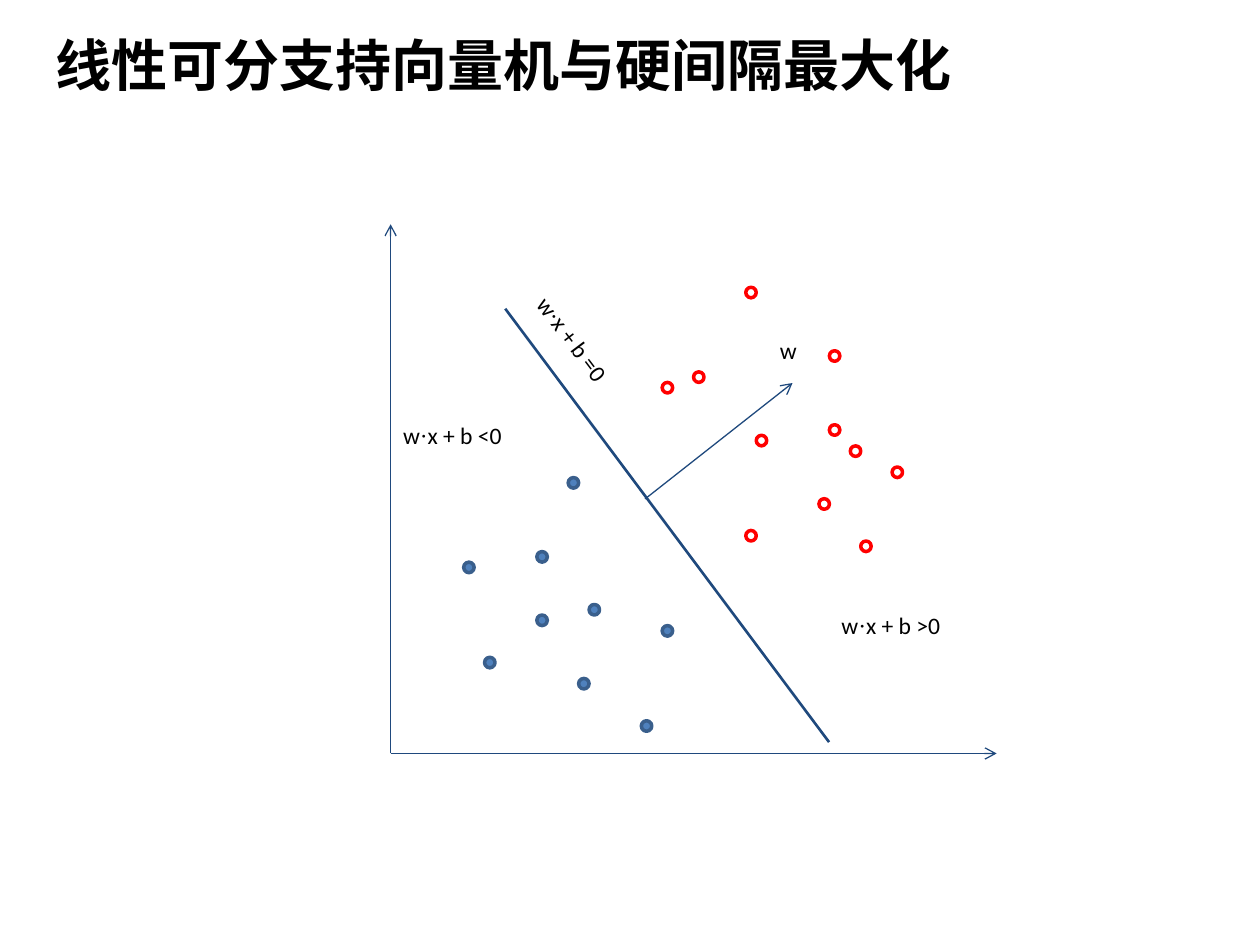
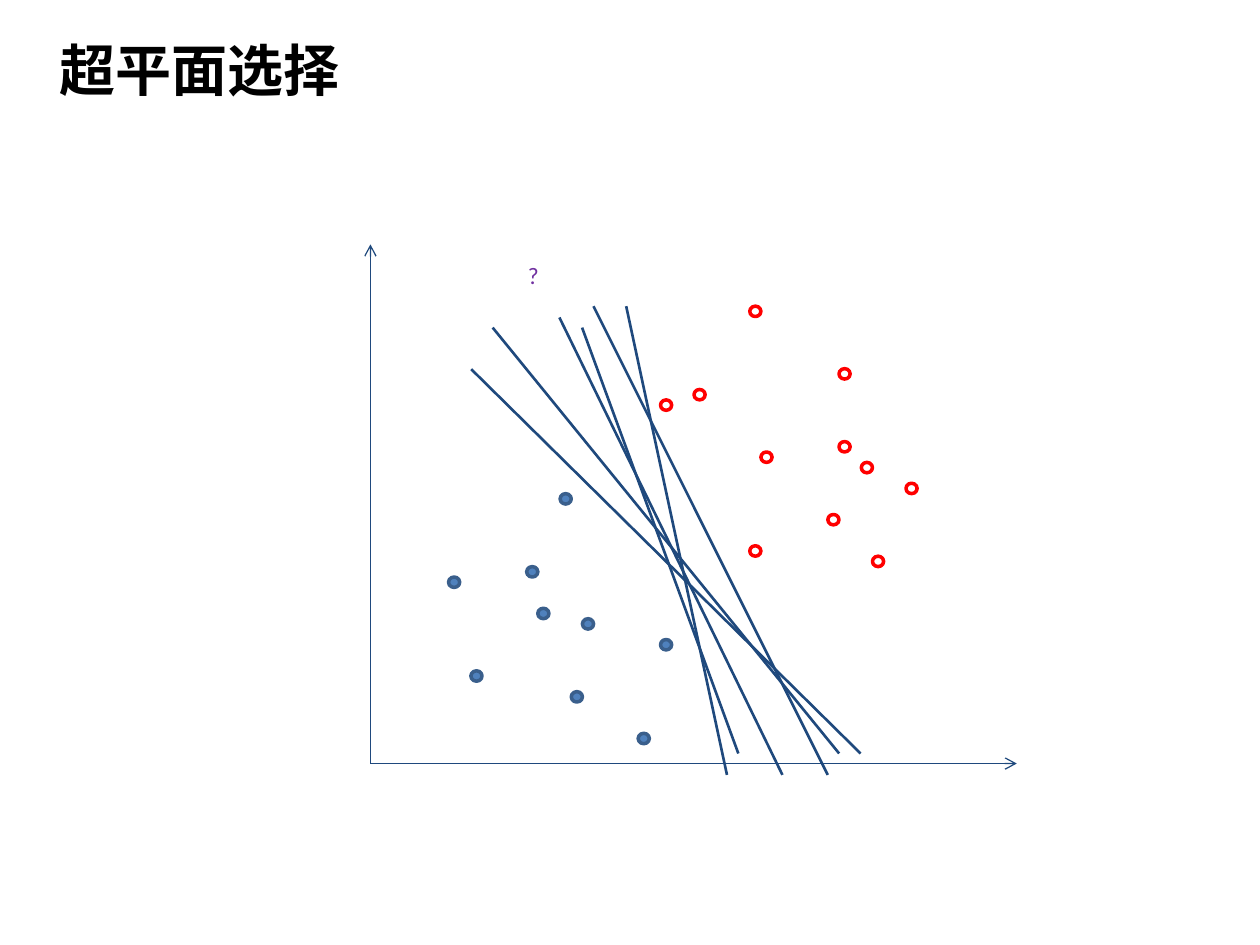
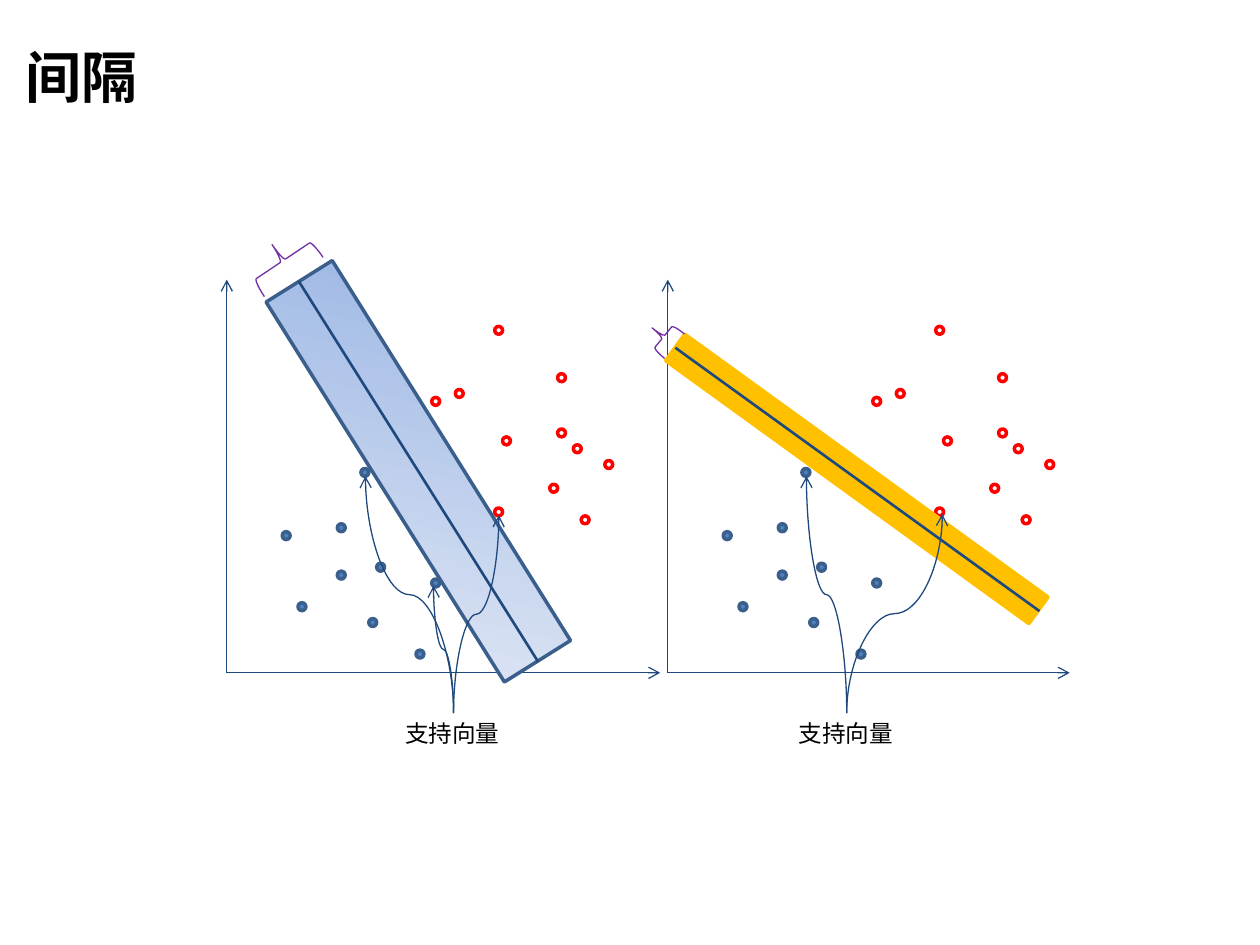
"""Build three slides on the hard-margin support vector machine."""
from lxml.etree import SubElement
from pptx import Presentation
from pptx.dml.color import RGBColor
from pptx.enum.shapes import MSO_CONNECTOR, MSO_SHAPE
from pptx.enum.text import MSO_ANCHOR, MSO_AUTO_SIZE, PP_ALIGN
from pptx.oxml.ns import qn
from pptx.util import Inches, Pt

NAVY, BLUE, EDGE, RED = "1F497D", "4F81BD", "3A5F8C", "FF0000"
GOLD, PURPLE, BLACK = "FFC000", "7030A0", "000000"
GRADIENT = ("9AB5E4", "E1E8F5")
FONT, DOT_FONT = "Calibri", "Times New Roman"

GRID = 41
NEGATIVE = [(0, 26), (7, 25), (19, 32), (12, 30), (11, 37), (10, 18), (17, 41), (2, 35)]
POSITIVE = [(22, 8), (35, 13), (27, 0), (28, 14), (27, 23), (19, 9), (34, 20),
            (35, 6), (38, 24), (41, 17), (37, 15)]


def rgb(color):
    """Turn a hex string into a colour."""
    return RGBColor.from_string(color)


def write(p, text, size=13.5, color=BLACK, bold=False):
    """Write text in a paragraph, with the product dot in its own font."""
    for part in filter(None, text.partition("·")):
        r = p.add_run()
        r.text = part
        r.font.name = DOT_FONT if part == "·" else FONT
        r.font.size = Pt(size)
        r.font.bold = bold
        r.font.color.rgb = rgb(color)


def add_slide(prs, title, left, top, indent=0.0):
    """Add a title-only slide with its formatted title."""
    s = prs.slides.add_slide(prs.slide_layouts[5])
    sp = s.shapes.title
    sp.left, sp.top, sp.width, sp.height = map(Inches, (left, top, 8.62, 1.09))
    tf = sp.text_frame
    tf.word_wrap = True
    tf.auto_size = MSO_AUTO_SIZE.NONE
    tf.vertical_anchor = MSO_ANCHOR.MIDDLE
    tf.margin_left = tf.margin_right = Inches(0.07)
    tf.margin_top = tf.margin_bottom = Inches(0.04)
    p = tf.paragraphs[0]
    p.alignment = PP_ALIGN.LEFT
    p.line_spacing = 0.9
    pPr = p._p.get_or_add_pPr()
    pPr.set("marL", str(Inches(indent)))
    pPr.set("indent", "0")
    write(p, title, size=32, bold=True)
    return s


def add_label(s, text, left, top, width, height, rotation=0, **fmt):
    """Add a one-line label that fits its text."""
    sp = s.shapes.add_textbox(*map(Inches, (left, top, width, height)))
    sp.rotation = rotation
    tf = sp.text_frame
    tf.word_wrap = False
    tf.auto_size = MSO_AUTO_SIZE.SHAPE_TO_FIT_TEXT
    write(tf.paragraphs[0], text, **fmt)


def add_figure(s, kind, left, top, width, height, line, fill=None, weight=2, rotation=0):
    """Add an outlined shape with no fill, a solid fill or a gradient pair."""
    sp = s.shapes.add_shape(kind, *map(Inches, (left, top, width, height)))
    sp.shadow.inherit = False
    sp.rotation = rotation
    sp.line.color.rgb = rgb(line)
    sp.line.width = Pt(weight)
    if fill is None:
        sp.fill.background()
    elif isinstance(fill, str):
        sp.fill.solid()
        sp.fill.fore_color.rgb = rgb(fill)
    else:
        sp.fill.gradient()
        sp.fill.gradient_angle = 135
        for stop, color in zip(sp.fill.gradient_stops, fill):
            stop.color.rgb = rgb(color)


def add_line(s, x1, y1, x2, y2, weight=1.5, arrow=False, kind=MSO_CONNECTOR.STRAIGHT):
    """Add a navy connector, with an arrowhead at its end if asked."""
    cxn = s.shapes.add_connector(kind, *map(Inches, (x1, y1, x2, y2)))
    cxn.line.color.rgb = rgb(NAVY)
    cxn.line.width = Pt(weight)
    if arrow:
        SubElement(cxn.line._get_or_add_ln(), qn("a:tailEnd"), type="arrow")
    SubElement(cxn._element.spPr, qn("a:effectLst"))
    return cxn


def add_arrow(s, x1, y1, x2, y2):
    """Add a thin straight arrow."""
    add_line(s, x1, y1, x2, y2, weight=0.75, arrow=True)


def add_curve(s, x1, y1, x2, y2):
    """Add a curved arrow that leaves and arrives vertically, going up."""
    cx, cy = (x1 + x2) / 2, (y1 + y2) / 2
    half_rise, half_run = (y1 - y2) / 2, (x2 - x1) / 2
    cxn = add_line(s, cx - half_rise, cy - half_run, cx + half_rise, cy + half_run,
                   weight=0.75, arrow=True, kind=MSO_CONNECTOR.CURVE)
    cxn._element.spPr.xfrm.set("rot", str(270 * 60000))


def add_axes(s, x, y, right, top):
    """Add the two axes from their origin."""
    add_arrow(s, x, y, right, y)
    add_arrow(s, x, y, x, top)


def add_points(s, left, top, width, height, extra=(7, 31)):
    """Add both classes of points on a square grid stretched to the area."""
    dx, dy = width / GRID, height / GRID
    for points, line, fill in ((NEGATIVE + [extra], EDGE, BLUE), (POSITIVE, RED, None)):
        for col, row in points:
            add_figure(s, MSO_SHAPE.OVAL, left + col * dx, top + row * dy, dx, dy, line, fill)


def build_hyperplane(prs):
    """Show the separating hyperplane and its normal."""
    s = add_slide(prs, "线性可分支持向量机与硬间隔最大化", 0.03, 0, indent=0.34)
    add_axes(s, 3.1, 5.98, 7.91, 1.78)
    add_points(s, 3.68, 2.28, 3.4, 3.44)
    add_line(s, 4.01, 2.45, 6.58, 5.89)
    add_label(s, "w·x + b >0", 6.58, 4.8, 1.31, 0.44)
    add_label(s, "w·x + b <0", 3.1, 3.29, 1.31, 0.44)
    add_label(s, "w·x + b =0", 3.94, 2.64, 1.32, 0.44, rotation=53)
    add_arrow(s, 5.12, 3.96, 6.29, 3.04)
    add_label(s, "w", 6.09, 2.62, 0.45, 0.44)


def build_candidates(prs):
    """Show several hyperplanes that separate the classes."""
    s = add_slide(prs, "超平面选择", 0.06, 0.04, indent=0.34)
    add_axes(s, 2.94, 6.06, 8.07, 1.94)
    add_points(s, 3.56, 2.43, 3.63, 3.39, extra=(8, 29))
    for ends in ((3.91, 2.6, 6.66, 5.98), (4.44, 2.52, 6.21, 6.15), (3.74, 2.93, 6.83, 5.98),
                 (4.71, 2.43, 6.57, 6.15), (4.62, 2.6, 5.86, 5.98), (4.97, 2.43, 5.77, 6.15)):
        add_line(s, *ends)
    add_label(s, "?", 4.09, 2.02, 0.41, 0.43, color=PURPLE)


def build_margins(prs):
    """Compare a wide and a narrow margin with their support vectors."""
    s = add_slide(prs, "间隔", 0.13, 0.09)
    for x, right in ((1.8, 5.24), (5.3, 8.49)):
        add_axes(s, x, 5.34, right, 2.22)
        add_points(s, x + 0.44, 2.59, 2.56, 2.57)
    add_figure(s, MSO_SHAPE.RECTANGLE, 1.54, 3.43, 3.56, 0.62, EDGE, GRADIENT, rotation=237.9)
    add_line(s, 2.37, 2.23, 4.27, 5.25)
    add_figure(s, MSO_SHAPE.RECTANGLE, 5.02, 3.67, 3.56, 0.26, GOLD, GOLD, rotation=215.9)
    add_line(s, 5.36, 2.76, 8.25, 4.85)
    for box, angle in (((2.09, 1.79, 0.31, 0.56), 56.2), ((5.15, 2.55, 0.23, 0.25), 39.3)):
        add_figure(s, MSO_SHAPE.LEFT_BRACE, *box, PURPLE, weight=0.75, rotation=angle)
    for x, vectors in ((3.6, ((3.44, 4.65), (2.9, 3.78), (3.96, 4.09))),
                       (6.72, ((6.4, 3.78), (7.48, 4.08)))):
        add_label(s, "支持向量", x - 0.48, 5.66, 0.96, 0.33)
        for vector in vectors:
            add_curve(s, x, 5.66, *vector)


def main():
    """Build and save the presentation."""
    prs = Presentation()
    prs.slide_width, prs.slide_height = Inches(10), Inches(7.5)
    build_hyperplane(prs)
    build_candidates(prs)
    build_margins(prs)
    prs.save("out.pptx")


if __name__ == "__main__":
    main()
